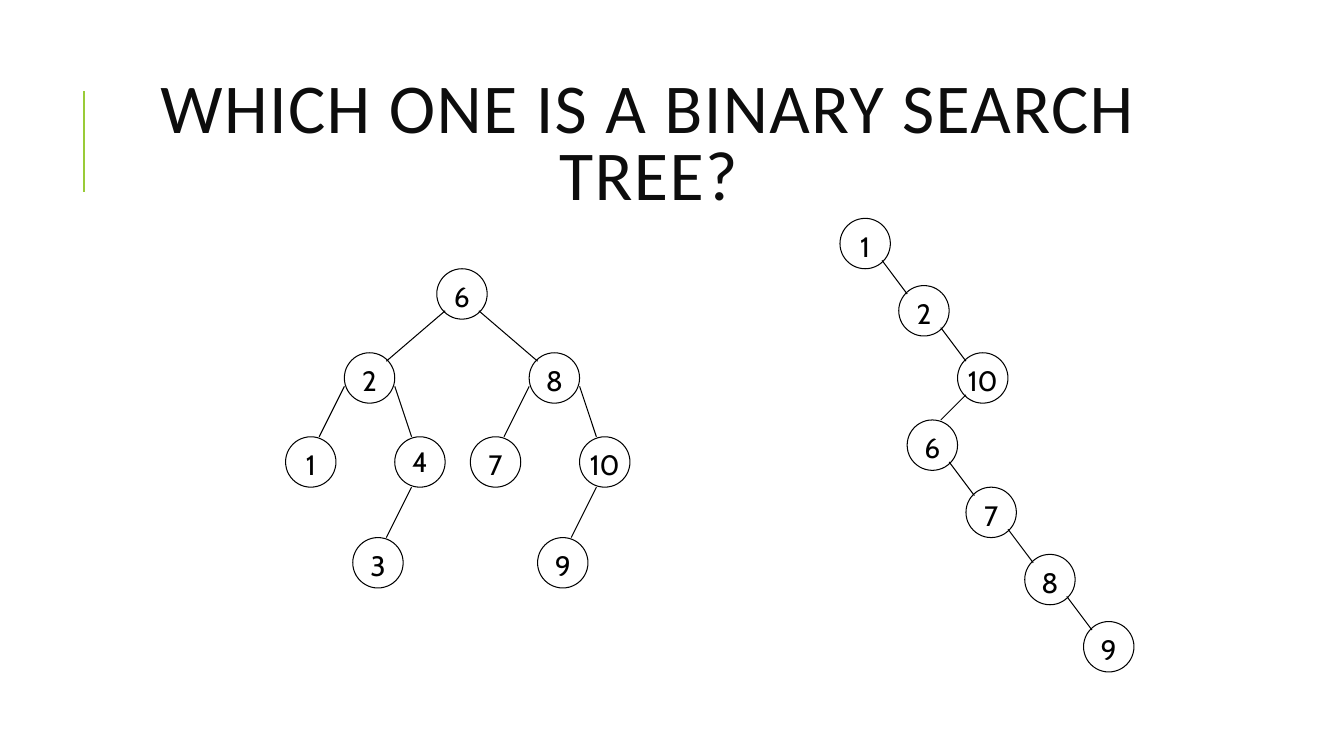
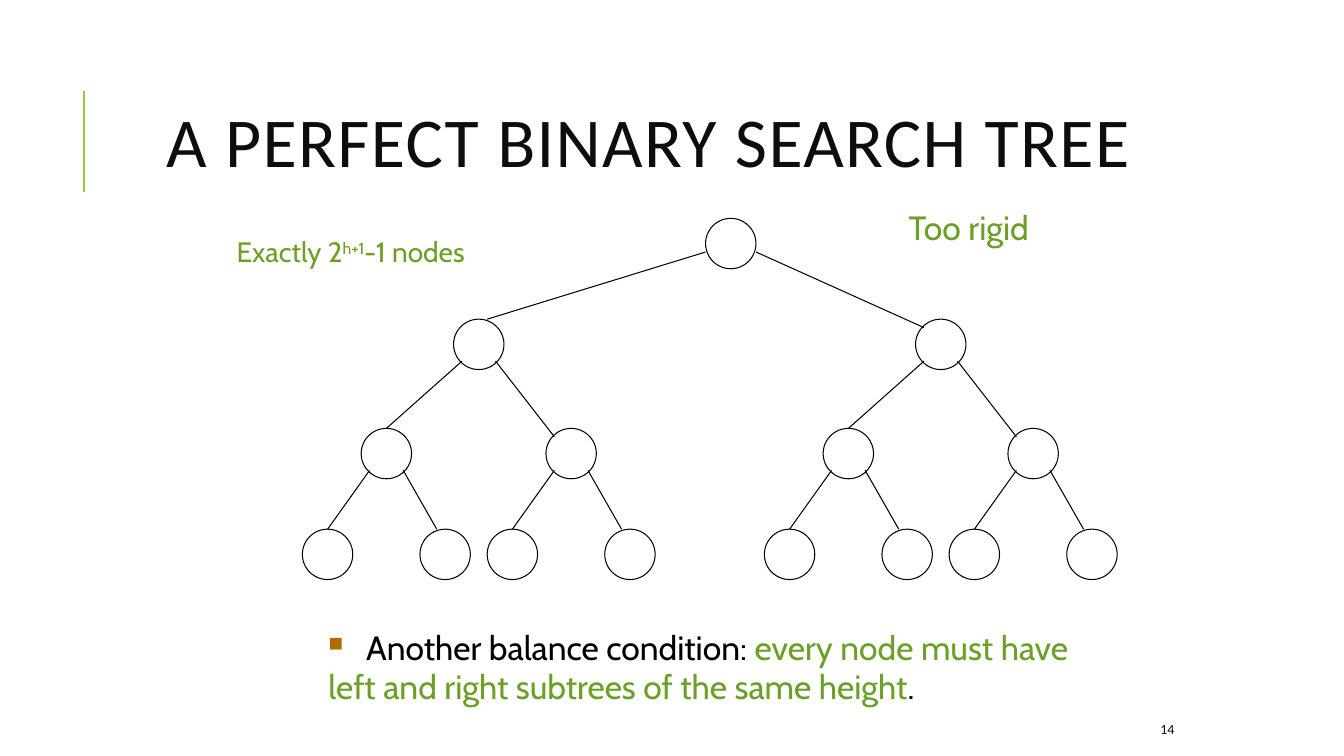
from dataclasses import dataclass
from lxml.etree import SubElement
from pptx import Presentation
from pptx.dml.color import RGBColor
from pptx.enum.shapes import MSO_CONNECTOR as Link, MSO_SHAPE as Shape
from pptx.enum.text import MSO_ANCHOR as Anchor, PP_ALIGN as Align
from pptx.oxml.ns import qn
from pptx.util import Pt


@dataclass(frozen=True)
class Theme:
    ink: str = "000000"
    heading: str = "0D0D0D"
    accent: str = "99CB38"
    green: str = "6B9F25"
    bullet: str = "B26B02"
    body_font: str = "Cabin"
    title_font: str = "Calibri"
    title_size: int = 50
    text_size: int = 24
    label_size: int = 20
    footer_size: int = 10
    hairline: float = 0.75
    rule: float = 1.5


theme = Theme()
NODE = 36


def write(paragraph, text, size=theme.label_size, color=theme.ink,
          font=theme.body_font, align=Align.LEFT, tracking=0, baseline=0):
    paragraph.alignment = align
    run = paragraph.add_run()
    run.text = text
    run.font.size = Pt(size)
    run.font.name = font
    run.font.color.rgb = RGBColor.from_string(color)
    properties = run._r.get_or_add_rPr()
    if tracking:
        properties.set("spc", str(tracking * 100))
    if baseline:
        properties.set("baseline", str(baseline * 1000))


def add_line(slide, start, end, color=theme.ink, width=theme.hairline):
    line = slide.shapes.add_connector(Link.STRAIGHT, *map(Pt, start + end))
    line.line.color.rgb = RGBColor.from_string(color)
    line.line.width = Pt(width)
    SubElement(line._element.spPr, qn("a:effectLst"))
    return line


search_trees = [("root", "6", 312, 192, None, None, None)]
for name, x, exit_at, enter_at, left, right, grandchild in (
    ("2", 246, (6, 30), (30, 6), "1", "4", "3"),
    ("8", 378, (30, 30), (6, 6), "7", "10", "9"),
):
    search_trees += [
        (name, name, x, 252, "root", exit_at, enter_at),
        (left, left, x - 42, 312, name, (0, 24), (24, 0)),
        (right, right, x + 36, 312, name, (36, 24), (12, 0)),
        (grandchild, grandchild, x + 6, 384, right, (12, 36), (24, 0)),
    ]

x, previous = 600, None
for step, label in enumerate(("1", "2", "10", "6", "7", "8", "9")):
    turns_left = label == "6"
    if step:
        x += -36 if turns_left else 42
    exit_at, enter_at = ((6, 30), (24, 0)) if turns_left else ((30, 30), (6, 6))
    search_trees.append(
        (f"chain {label}", label, x, 156 + 48 * step, previous, exit_at, enter_at))
    previous = f"chain {label}"

perfect_tree = [
    ("root", "", 504, 156, None, None, None),
    ("L", "", 324, 228, "root", (0, 24), (24, 0)),
    ("R", "", 654, 228, "root", (36, 24), (6, 6)),
]
parents = [("L", 324), ("R", 654)]
for y, spread, right_entry in ((306, 66, (6, 6)), (378, 42, (12, 0))):
    children = []
    for parent, x in parents:
        perfect_tree += [
            (parent + "L", "", x - spread, y, parent, (6, 30), (18, 0)),
            (parent + "R", "", x + spread, y, parent, (30, 30), right_entry),
        ]
        children += [(parent + "L", x - spread), (parent + "R", x + spread)]
    parents = children

deck = Presentation()
deck.slide_width, deck.slide_height = Pt(960), Pt(540)

for title, tree in (
    ("WHICH ONE IS A BINARY SEARCH TREE?", search_trees),
    ("A PERFECT BINARY SEARCH TREE", perfect_tree),
):
    slide = deck.slides.add_slide(deck.slide_layouts[6])
    add_line(slide, (60, 137), (60, 65), theme.accent, theme.rule)

    heading = slide.shapes.add_textbox(Pt(80.5), Pt(46), Pt(765.5), Pt(118)).text_frame
    heading.word_wrap = True
    heading.vertical_anchor = Anchor.MIDDLE
    heading.paragraphs[0].line_spacing = 0.8
    write(heading.paragraphs[0], title, size=theme.title_size, color=theme.heading,
          font=theme.title_font, align=Align.CENTER, tracking=1)

    nodes = {}
    for name, label, x, y, parent, exit_at, enter_at in tree:
        node = slide.shapes.add_shape(Shape.OVAL, Pt(x), Pt(y), Pt(NODE), Pt(NODE))
        node.shadow.inherit = False
        node.fill.background()
        node.line.color.rgb = RGBColor.from_string(theme.ink)
        node.line.width = Pt(theme.hairline)
        nodes[name] = node, x, y
        if label:
            frame = node.text_frame
            frame.word_wrap = False
            frame.vertical_anchor = Anchor.TOP
            frame.margin_left = frame.margin_right = frame.margin_bottom = 0
            frame.margin_top = Pt(0 if label == "4" else 2.5)
            write(frame.paragraphs[0], label, align=Align.CENTER)
        if parent:
            _, parent_x, parent_y = nodes[parent]
            edge = add_line(slide, (x + enter_at[0], y + enter_at[1]),
                            (parent_x + exit_at[0], parent_y + exit_at[1]))
            if enter_at == (NODE / 2, 0):
                edge.begin_connect(node, 0)

green_text = dict(size=theme.text_size, color=theme.green)
green_label = dict(color=theme.green)
black_text = dict(size=theme.text_size)
page_number = dict(size=theme.footer_size, color=theme.heading,
                   font=theme.title_font, align=Align.RIGHT)

for box, anchor, spacing, paragraphs in (
    ((381.5, 510, 464.5, 21.5), Anchor.MIDDLE, 1, [[("14", page_number)]]),
    ((227.5, 450, 581, 60), Anchor.TOP, 0.8, [
        [("Another balance condition: ", black_text),
         ("every node must have", green_text)],
        [("left and right subtrees of the same height", green_text),
         (".", black_text)],
    ]),
    ((162, 164, 196.5, 31.5), Anchor.TOP, 1, [
        [("Exactly 2", green_label), ("h+1", dict(green_label, baseline=30)),
         ("-1 nodes", green_label)],
    ]),
    ((642, 144, 162, 36), Anchor.TOP, 1, [[("Too rigid", green_text)]]),
):
    frame = slide.shapes.add_textbox(*map(Pt, box)).text_frame
    frame.word_wrap = True
    frame.vertical_anchor = anchor
    for index, runs in enumerate(paragraphs):
        paragraph = frame.add_paragraph() if index else frame.paragraphs[0]
        if len(paragraphs) > 1 and not index:
            properties = paragraph._p.get_or_add_pPr()
            properties.set("marL", str(Pt(27)))
            properties.set("indent", str(-Pt(27)))
            bullet_color = SubElement(properties, qn("a:buClr"))
            SubElement(bullet_color, qn("a:srgbClr"), val=theme.bullet)
            SubElement(properties, qn("a:buSzPct"), val="60000")
            SubElement(properties, qn("a:buChar"), char="■")
        paragraph.line_spacing = spacing
        if index:
            paragraph.space_before = Pt(4.8)
        for text, style in runs:
            write(paragraph, text, **style)

deck.save("out.pptx")
